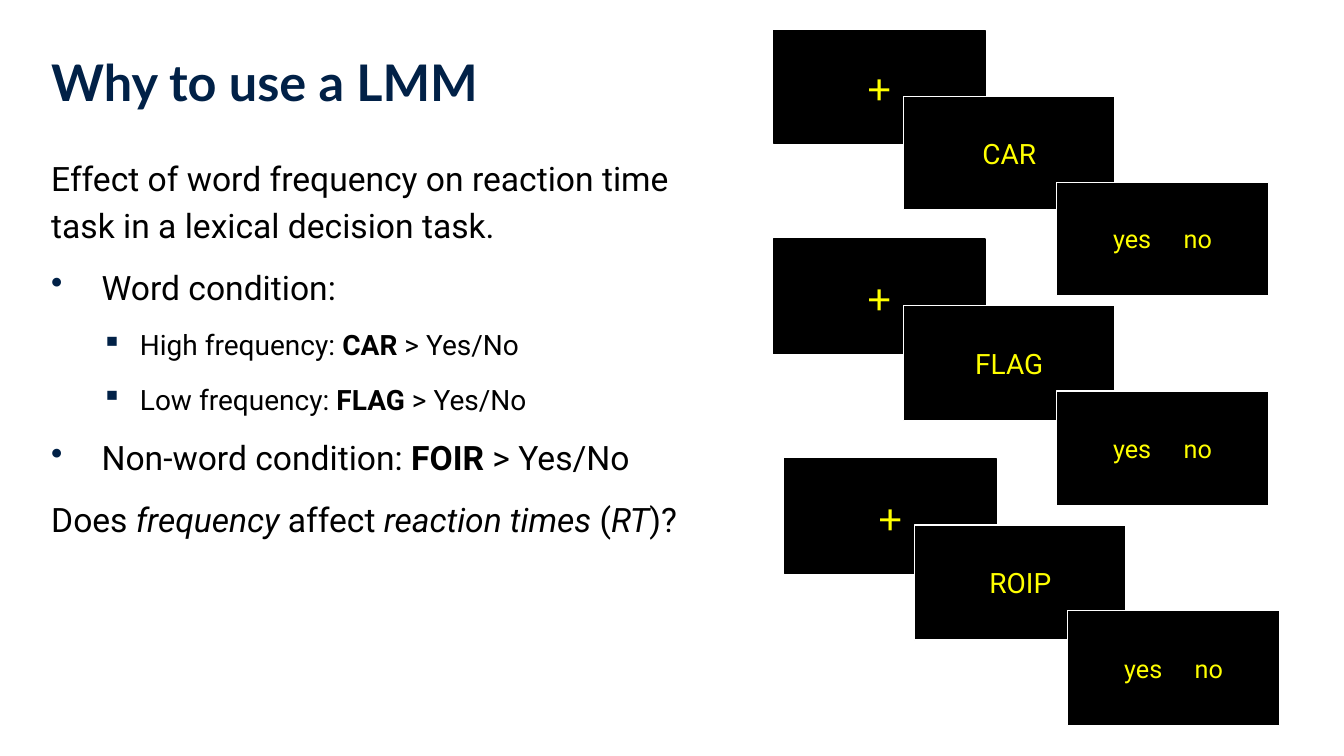
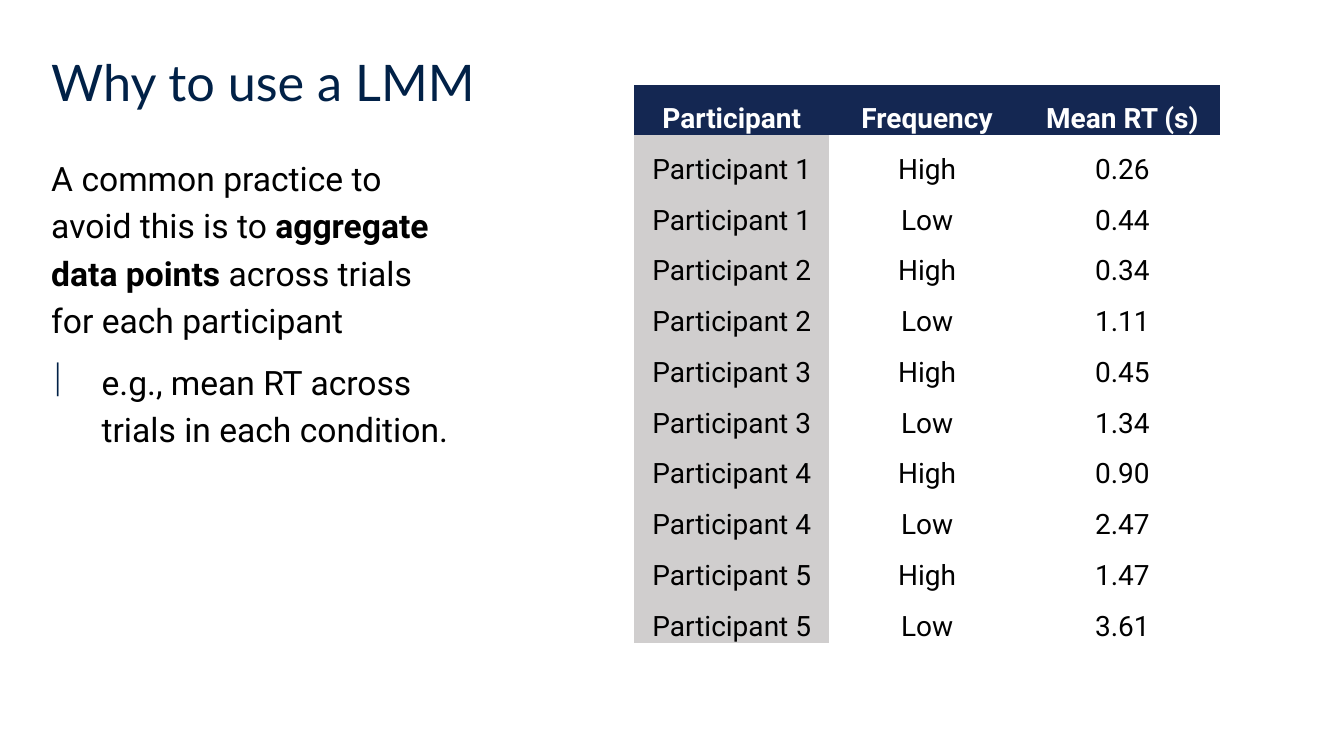
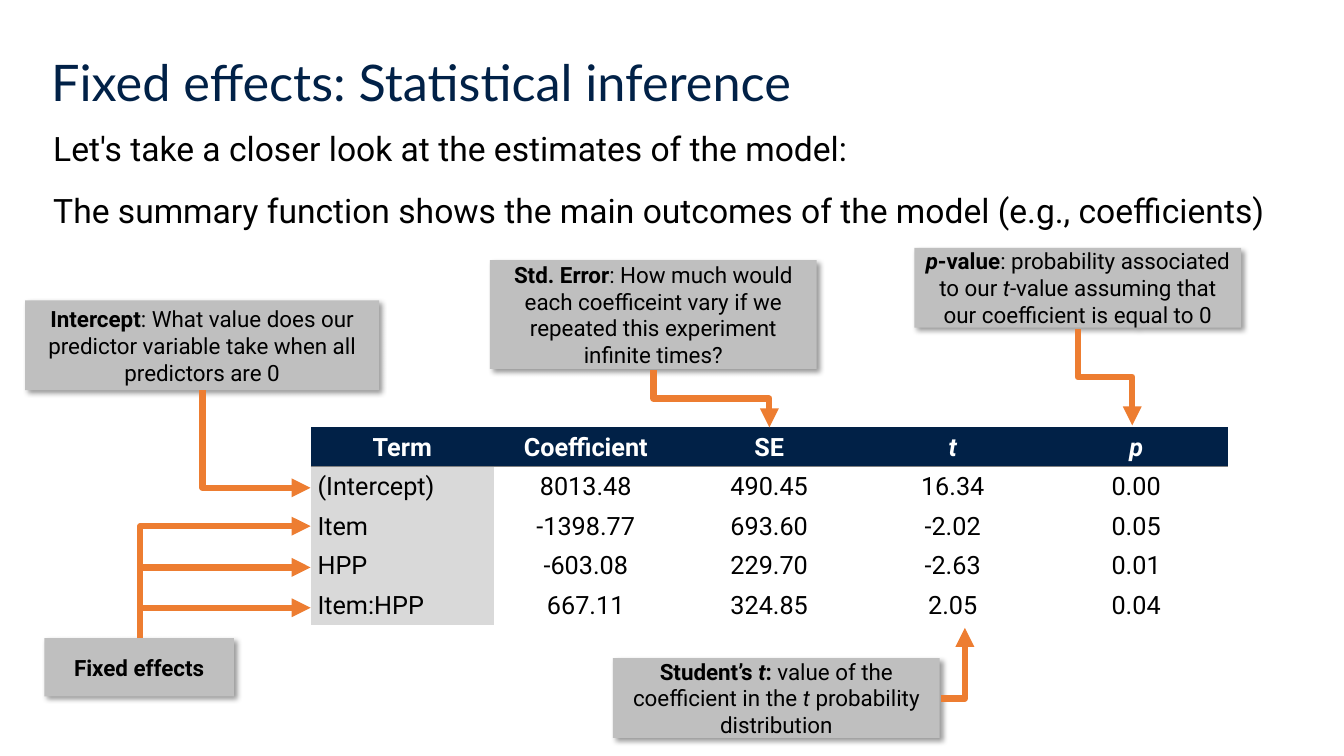
from dataclasses import dataclass
from typing import Optional

import pptx
import pptx.dml.color
import pptx.enum.shapes
import pptx.enum.text
import pptx.oxml
import pptx.oxml.ns
import pptx.util
from pptx.util import Inches

COLORS = {
    "navy": "012147",
    "header": "142752",
    "black": "000000",
    "white": "FFFFFF",
    "yellow": "FFFF00",
    "orange": "ED7D31",
    "callout": "BFBFBF",
    "warm_gray": "D0CECE",
    "light_gray": "D9D9D9",
    "rule": "808080",
}
BODY_FONT = "Roboto"
TITLE_FONT = "Lato"
NO_TABLE_STYLE = "{2D5ABB26-0587-4C30-8999-92F81FD0307C}"
CENTER = pptx.enum.text.PP_ALIGN.CENTER
LEFT = pptx.enum.text.PP_ALIGN.LEFT
MIDDLE = pptx.enum.text.MSO_ANCHOR.MIDDLE
BOTTOM = pptx.enum.text.MSO_ANCHOR.BOTTOM


@dataclass(frozen=True)
class Span:
    text: str
    bold: bool = False
    italic: bool = False


@dataclass(frozen=True)
class BodyParagraph:
    spans: list[Span]
    bullet: str = ""
    level: int = 0


@dataclass(frozen=True)
class Trial:
    left: float
    top: float
    height: float
    word: str


@dataclass(frozen=True)
class Callout:
    left: float
    top: float
    width: float
    height: float
    spans: list[Span]


@dataclass(frozen=True)
class Arrow:
    start: tuple[float, float]
    end: tuple[float, float]
    bends: int = 1
    vertical_start: bool = True


@dataclass(frozen=True)
class TableStyle:
    size: float
    anchor: pptx.enum.text.MSO_ANCHOR
    header_fill: str
    label_fill: str
    label_align: pptx.enum.text.PP_ALIGN = CENTER
    label_inset: float = 0.01
    header_rule: Optional[str] = None


def rgb(name: str) -> pptx.dml.color.RGBColor:
    return pptx.dml.color.RGBColor.from_string(COLORS[name])


def xml(tag: str, content: str = "", **attributes: object):
    listed = "".join(f' {key}="{value}"' for key, value in attributes.items())
    namespace = pptx.oxml.ns.nsdecls("a")
    return pptx.oxml.parse_xml(f"<a:{tag} {namespace}{listed}>{content}</a:{tag}>")


def color_xml(name: str, content: str = "") -> str:
    return f'<a:srgbClr val="{COLORS[name]}">{content}</a:srgbClr>'


def add_spans(paragraph, spans: list[Span], size: float, color: str = "black",
              font: str = BODY_FONT) -> None:
    for span in spans:
        run = paragraph.add_run()
        run.text = span.text
        run.font.name = font
        run.font.size = pptx.util.Pt(size)
        run.font.bold = span.bold
        run.font.italic = span.italic
        run.font.color.rgb = rgb(color)


def add_title(slide, text: str, bold: bool = False) -> None:
    shape = slide.shapes.add_textbox(Inches(0.41), Inches(0.4), Inches(12.48), Inches(0.89))
    frame = shape.text_frame
    frame.word_wrap = True
    frame.vertical_anchor = MIDDLE
    frame.paragraphs[0].line_spacing = 0.9
    add_spans(frame.paragraphs[0], [Span(text, bold)], 36, "navy", TITLE_FONT)


def add_body(slide, left: float, top: float, width: float,
             paragraphs: list[BodyParagraph]) -> None:
    shape = slide.shapes.add_textbox(Inches(left), Inches(top), Inches(width), Inches(5.31))
    frame = shape.text_frame
    frame.word_wrap = True
    for index, item in enumerate(paragraphs):
        paragraph = frame.add_paragraph() if index else frame.paragraphs[0]
        paragraph.level = item.level
        paragraph.line_spacing = pptx.util.Pt(34)
        if index:
            paragraph.space_before = pptx.util.Pt(5 if item.level else 10)
        if item.bullet:
            margin, hanging = (0.88, 0.38) if item.level else (0.5, 0.5)
            properties = paragraph._p.get_or_add_pPr()
            properties.set("marL", str(Inches(margin)))
            properties.set("indent", str(-Inches(hanging)))
            properties.append(xml("buClr", color_xml("navy")))
            properties.append(xml("buChar", char=item.bullet))
        add_spans(paragraph, item.spans, 20 if item.level else 24)


def add_rectangle(shapes, left: float, top: float, width: float, height: float,
                  fill: str, line: Optional[str] = None):
    shape = shapes.add_shape(pptx.enum.shapes.MSO_SHAPE.RECTANGLE, Inches(left),
                             Inches(top), Inches(width), Inches(height))
    shape.fill.solid()
    shape.fill.fore_color.rgb = rgb(fill)
    if line:
        shape.line.color.rgb = rgb(line)
        shape.line.width = pptx.util.Pt(1)
    else:
        shape.line.fill.background()
    shape.shadow.inherit = False
    shape.text_frame.word_wrap = True
    shape.text_frame.vertical_anchor = MIDDLE
    return shape


def add_trial(slide, trial: Trial) -> None:
    group = slide.shapes.add_group_shape()
    screens = [
        (0, 0, "+", 32, "Calibri", "black"),
        (1.29, 0.66, trial.word, 20, BODY_FONT, "white"),
        (2.81, 1.51, "yes\tno", 18, BODY_FONT, "white"),
    ]
    for right, down, text, size, font, line in screens:
        shape = add_rectangle(group.shapes, trial.left + right, trial.top + down,
                              2.1, trial.height, "black", line)
        paragraph = shape.text_frame.paragraphs[0]
        paragraph.alignment = CENTER
        if "\t" in text:
            paragraph.alignment = LEFT
            shape.text_frame.margin_left = Inches(0.56)
            tab = f'<a:tab pos="{Inches(0.7)}" algn="l"/>'
            paragraph._p.get_or_add_pPr().append(xml("tabLst", tab))
        add_spans(paragraph, [Span(text)], size, "yellow", font)


def add_callout(slide, callout: Callout) -> None:
    shape = add_rectangle(slide.shapes, callout.left, callout.top, callout.width,
                          callout.height, "callout")
    effects = shape._element.spPr.find(pptx.oxml.ns.qn("a:effectLst"))
    effects.append(xml("outerShdw", color_xml("black", '<a:alpha val="40000"/>'),
                       blurRad=pptx.util.Pt(4), dist=pptx.util.Pt(3), dir=45 * 60000,
                       algn="tl", rotWithShape=0))
    paragraph = shape.text_frame.paragraphs[0]
    paragraph.alignment = CENTER
    add_spans(paragraph, callout.spans, 16)


def add_arrow(slide, arrow: Arrow) -> None:
    (x1, y1), (x2, y2) = arrow.start, arrow.end
    rotation = 0
    if arrow.vertical_start:
        rotation = 270 if y2 > y1 else 90
        center_x, center_y = (x1 + x2) / 2, (y1 + y2) / 2
        half_width, half_height = abs(y2 - y1) / 2, (x2 - x1) / 2
        if y2 < y1:
            half_height = -half_height
        x1, x2 = center_x + half_width, center_x - half_width
        y1, y2 = center_y - half_height, center_y + half_height
    connector = slide.shapes.add_connector(pptx.enum.shapes.MSO_CONNECTOR.ELBOW, Inches(x1),
                                           Inches(y1), Inches(x2), Inches(y2))
    connector.line.color.rgb = rgb("orange")
    connector.line.width = pptx.util.Pt(4.5)
    properties = connector._element.spPr
    properties.find(pptx.oxml.ns.qn("a:xfrm")).set("rot", str(rotation * 60000))
    properties.find(pptx.oxml.ns.qn("a:prstGeom")).set("prst", f"bentConnector{arrow.bends + 1}")
    properties.find(pptx.oxml.ns.qn("a:ln")).append(xml("tailEnd", type="triangle"))
    properties.append(xml("effectLst"))


def add_table(slide, left: float, top: float, width: float, height: float,
              rows: list[list[str]], style: TableStyle,
              italic_headers: tuple[str, ...] = ()) -> None:
    frame = slide.shapes.add_table(len(rows), len(rows[0]), Inches(left), Inches(top),
                                   Inches(width), Inches(height))
    table = frame.table
    table.horz_banding = False
    table._tbl.tblPr.find(pptx.oxml.ns.qn("a:tableStyleId")).text = NO_TABLE_STYLE
    for row_index, row in enumerate(rows):
        for column_index, text in enumerate(row):
            cell = table.cell(row_index, column_index)
            is_header = row_index == 0
            is_label = column_index == 0 and not is_header
            cell.margin_left = Inches(style.label_inset if is_label else 0.01)
            cell.margin_right = cell.margin_top = Inches(0.01)
            cell.margin_bottom = 0
            cell.vertical_anchor = style.anchor
            if is_header and style.header_rule:
                line = f"<a:solidFill>{color_xml(style.header_rule)}</a:solidFill>"
                cell._tc.get_or_add_tcPr().append(xml("lnB", line, w=pptx.util.Pt(1)))
            if is_header or is_label:
                cell.fill.solid()
                cell.fill.fore_color.rgb = rgb(style.header_fill if is_header
                                               else style.label_fill)
            else:
                cell.fill.background()
            paragraph = cell.text_frame.paragraphs[0]
            paragraph.alignment = style.label_align if is_label else CENTER
            span = Span(text, is_header, is_header and text in italic_headers)
            add_spans(paragraph, [span], style.size, "white" if is_header else "black")


def build_design_slide(slide) -> None:
    add_body(slide, 0.41, 1.44, 6.84, [
        BodyParagraph([Span("Effect of word frequency on reaction time task in a "
                            "lexical decision task.")]),
        BodyParagraph([Span("Word condition:")], "•"),
        BodyParagraph([Span("High frequency: "), Span("CAR", bold=True),
                       Span(" > Yes/No")], "▪", 1),
        BodyParagraph([Span("Low frequency: "), Span("FLAG", bold=True),
                       Span(" > Yes/No")], "▪", 1),
        BodyParagraph([Span("Non-word condition: "), Span("FOIR", bold=True),
                       Span(" > Yes/No")], "•"),
        BodyParagraph([Span("Does "), Span("frequency", italic=True), Span(" affect "),
                       Span("reaction times", italic=True), Span(" ("),
                       Span("RT", italic=True), Span(")?")]),
    ])
    add_title(slide, "Why to use a LMM", bold=True)
    for trial in (Trial(7.67, 0.3, 1.12, "CAR"), Trial(7.67, 2.37, 1.14, "FLAG"),
                  Trial(7.78, 4.55, 1.14, "ROIP")):
        add_trial(slide, trial)


def build_aggregation_slide(slide) -> None:
    add_title(slide, "Why to use a LMM")
    add_body(slide, 0.41, 1.44, 4.19, [
        BodyParagraph([Span("A common practice to avoid this is to "),
                       Span("aggregate data points", bold=True),
                       Span(" across trials for each participant")]),
        BodyParagraph([Span("e.g., mean RT across trials in each condition.")], "|"),
    ])
    mean_times = [("0.26", "0.44"), ("0.34", "1.11"), ("0.45", "1.34"),
                  ("0.90", "2.47"), ("1.47", "3.61")]
    rows = [["Participant", "Frequency", "Mean RT (s)"]]
    for number, times in enumerate(mean_times, 1):
        for frequency, time in zip(("High", "Low"), times):
            rows.append([f"Participant {number}", frequency, time])
    add_table(slide, 6.29, 0.84, 5.81, 5.54, rows,
              TableStyle(20, BOTTOM, "header", "warm_gray"))


def build_inference_slide(slide) -> None:
    add_title(slide, "Fixed effects: Statistical inference")
    add_body(slide, 0.43, 1.15, 12.9, [
        BodyParagraph([Span("Let's take a closer look at the estimates of the model:")]),
        BodyParagraph([Span("The summary function shows the main outcomes of the model "
                            "(e.g., coefficients)")]),
    ])
    rows = [
        ["Term", "Coefficient", "SE", "t", "p"],
        ["(Intercept)", "8013.48", "490.45", "16.34", "0.00"],
        ["Item", "-1398.77", "693.60", "-2.02", "0.05"],
        ["HPP", "-603.08", "229.70", "-2.63", "0.01"],
        ["Item:HPP", "667.11", "324.85", "2.05", "0.04"],
    ]
    add_table(slide, 3.08, 4.24, 9.1, 1.96, rows,
              TableStyle(18, MIDDLE, "navy", "light_gray", LEFT, 0.07, "rule"), ("t", "p"))
    callouts = [
        Callout(0.25, 2.98, 3.51, 0.89, [
            Span("Intercept", bold=True),
            Span(": What value does our predictor variable take when all predictors are 0")]),
        Callout(0.44, 6.33, 1.88, 0.58, [Span("Fixed effects", bold=True)]),
        Callout(4.86, 2.58, 3.24, 1.08, [
            Span("Std. Error", bold=True),
            Span(": How much would each coefficeint vary if we repeated this experiment "
                 "infinite times?")]),
        Callout(6.08, 6.53, 3.24, 0.79, [
            Span("Student’s ", bold=True), Span("t", bold=True, italic=True),
            Span(": ", bold=True), Span("value of the coefficient in the "),
            Span("t", italic=True), Span(" probability distribution")]),
        Callout(9.07, 2.46, 3.24, 0.79, [
            Span("p", bold=True, italic=True), Span("-value", bold=True),
            Span(": probability associated to our "), Span("t", italic=True),
            Span("-value assuming that our coefficient is equal to 0")]),
    ]
    for callout in callouts:
        add_callout(slide, callout)
    arrows = [
        Arrow((2.01, 3.87), (3.08, 4.84)),
        *(Arrow((1.39, 6.33), (3.08, row_y)) for row_y in (5.22, 5.63, 6.03)),
        Arrow((6.48, 3.67), (7.63, 4.24), bends=2),
        Arrow((9.33, 6.93), (9.57, 6.23), vertical_start=False),
        Arrow((10.69, 3.26), (11.23, 4.22), bends=2),
    ]
    for arrow in arrows:
        add_arrow(slide, arrow)


def main() -> None:
    presentation = pptx.Presentation()
    presentation.slide_width = Inches(13.33)
    presentation.slide_height = Inches(7.5)
    blank_layout = presentation.slide_layouts[6]
    for build in (build_design_slide, build_aggregation_slide, build_inference_slide):
        build(presentation.slides.add_slide(blank_layout))
    presentation.save("out.pptx")


if __name__ == "__main__":
    main()
